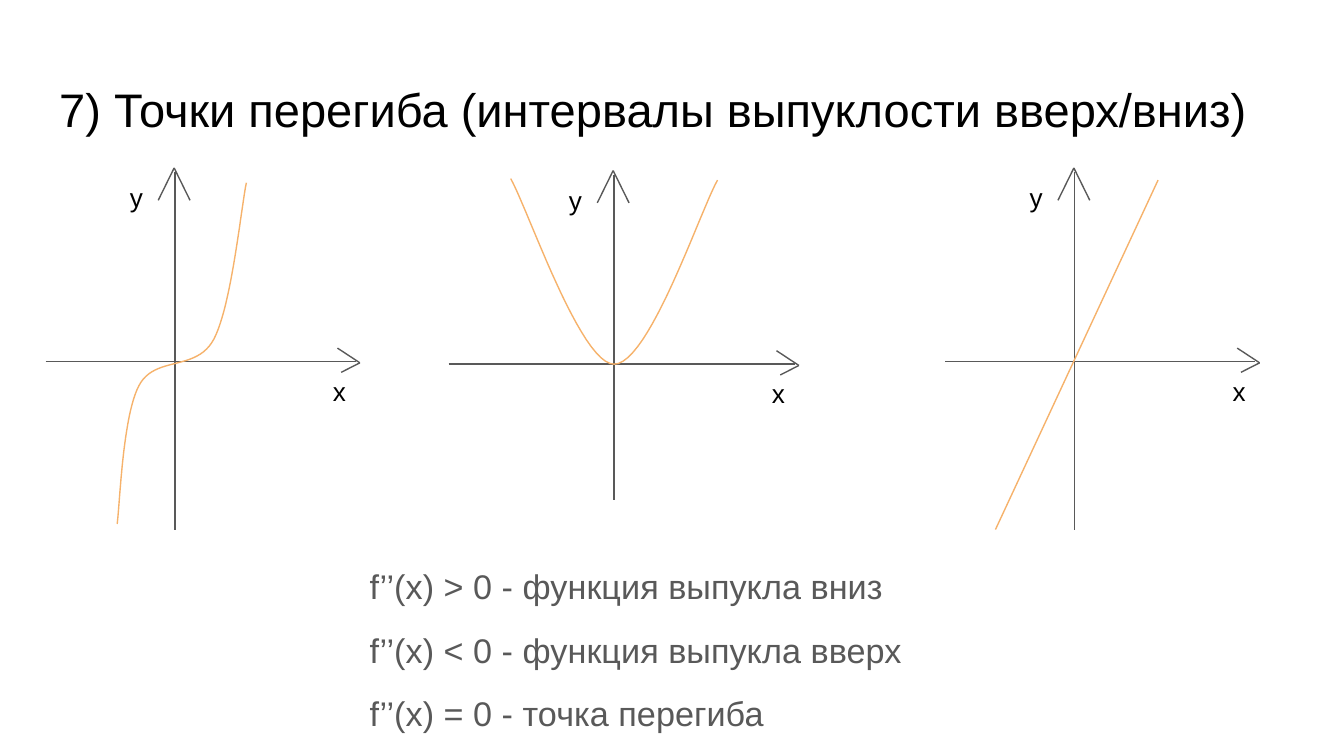
from lxml import etree
from pptx import Presentation
from pptx.dml.color import RGBColor
from pptx.enum.shapes import MSO_CONNECTOR
from pptx.enum.text import MSO_ANCHOR, MSO_AUTO_SIZE, PP_ALIGN
from pptx.oxml.ns import qn
from pptx.util import Pt

STRAIGHT = MSO_CONNECTOR.STRAIGHT
TOP, BOTTOM = MSO_ANCHOR.TOP, MSO_ANCHOR.BOTTOM
NO_FIT = MSO_AUTO_SIZE.NONE
LEFT = PP_ALIGN.LEFT

COLORS = {"text": "000000", "muted": "595959", "curve": "F6B26B"}
LINE_WIDTH = 0.75
CURVE_STEPS = 24

TITLE = "7) Точки перегиба (интервалы выпуклости вверх/вниз)"
RULES = [
    "f’’(x) > 0 - функция выпукла вниз",
    "f’’(x) < 0 - функция выпукла вверх",
    "f’’(x) = 0 - точка перегиба",
]

CUBIC = [
    (-31, 87), (-29.5, 75), (-28, 29.5), (-19.4, 13), (-10.8, -3.6),
    (11.5, 5.8), (20.9, -12.2), (30.2, -30.2), (35.3, -81.4), (38.2, -95.8),
]
PARABOLA = [
    (-55.4, -99.4), (-46.1, -82.8), (-18, 0), (0, 0),
    (18.7, 0), (46.1, -82.1), (55.4, -98.6),
]
SLOPE = [(-42.5, 90), (44.6, -97.2)]

ARROW_STROKES = [
    ((-0.5, -103.7), (-9, -86.4)),
    ((-0.5, -103.7), (8, -86.4)),
    ((87, -7.2), (99, 0.7)),
    ((99, 0.7), (89, 5.8)),
]
AXIS_LABELS = [("y", -31.3, -103.7, 17.3), ("x", 77.5, 0, 19.4)]


def rgb(name):
    return RGBColor.from_string(COLORS[name])


def set_values(target, values):
    for name, value in values.items():
        setattr(target, name, value)


def place(shape, left, top, width, height):
    set_values(shape, {"left": Pt(left), "top": Pt(top),
                       "width": Pt(width), "height": Pt(height)})


def write_text(box, lines, size, color, anchor=TOP, gap=0):
    frame = box.text_frame
    inset = Pt(7.2)
    set_values(frame, {
        "word_wrap": True, "auto_size": NO_FIT, "vertical_anchor": anchor,
        "margin_left": inset, "margin_right": inset,
        "margin_top": inset, "margin_bottom": inset,
    })
    for index, line in enumerate(lines):
        para = frame.add_paragraph() if index else frame.paragraphs[0]
        properties = para._p.get_or_add_pPr()
        properties.set("marL", "0")
        properties.set("indent", "0")
        etree.SubElement(properties, qn("a:buNone"))
        set_values(para, {"alignment": LEFT, "line_spacing": 1.0,
                          "space_before": Pt(gap if index else 0),
                          "space_after": Pt(0)})
        span = para.add_run()
        span.text = line
        set_values(span.font, {"name": "Arial", "size": Pt(size)})
        span.font.color.rgb = rgb(color)


def style_line(shape, color):
    shape.line.width = Pt(LINE_WIDTH)
    shape.line.color.rgb = rgb(color)


def add_line(page, origin, start, end, color="muted"):
    x, y = origin
    line = page.shapes.add_connector(
        STRAIGHT, Pt(x + start[0]), Pt(y + start[1]),
        Pt(x + end[0]), Pt(y + end[1]))
    style_line(line, color)
    etree.SubElement(line._element.spPr, qn("a:effectLst"))


def bezier_point(controls, t):
    weights = ((1 - t) ** 3, 3 * t * (1 - t) ** 2, 3 * t * t * (1 - t), t ** 3)
    return tuple(sum(weight * point[axis] for weight, point in zip(weights, controls))
                 for axis in (0, 1))


def add_curve(page, origin, controls):
    points = [controls[0]]
    for first in range(0, len(controls) - 1, 3):
        points += [bezier_point(controls[first:first + 4], step / CURVE_STEPS)
                   for step in range(1, CURVE_STEPS + 1)]
    vertices = [(Pt(origin[0] + x), Pt(origin[1] + y)) for x, y in points]
    builder = page.shapes.build_freeform(*vertices[0])
    builder.add_line_segments(vertices[1:], close=False)
    curve = builder.convert_to_shape()
    curve.fill.background()
    curve.shadow.inherit = False
    style_line(curve, "curve")


def add_axes(page, origin, left, bottom):
    add_line(page, origin, (0, -101.5), (0, bottom))
    add_line(page, origin, (left, 0), (96.8, 0))
    for start, end in ARROW_STROKES:
        add_line(page, origin, start, end)
    for name, x, y, width in AXIS_LABELS:
        box = page.shapes.add_textbox(Pt(origin[0] + x), Pt(origin[1] + y),
                                      Pt(width), Pt(31.7))
        write_text(box, [name], 14, "text")


def main():
    deck = Presentation()
    set_values(deck, {"slide_width": Pt(720), "slide_height": Pt(405)})
    page = deck.slides.add_slide(deck.slide_layouts[1])

    title = page.shapes.title
    place(title, 24.5, 35.3, 671, 45.4)
    write_text(title, [TITLE], 25.2, "text", anchor=BOTTOM)
    body = page.placeholders[1]
    place(body, 190.8, 295.9, 349.2, 92.9)
    write_text(body, RULES, 18.3, "muted", gap=12)

    cubic_origin, parabola_origin, slope_origin = (93.8, 193.7), (329, 195.1), (575.8, 193.7)
    add_axes(page, cubic_origin, left=-69.3, bottom=90)
    add_curve(page, cubic_origin, CUBIC)
    add_axes(page, parabola_origin, left=-88.6, bottom=72.7)
    add_curve(page, parabola_origin, PARABOLA)
    add_axes(page, slope_origin, left=-69.3, bottom=90)
    add_line(page, slope_origin, *SLOPE, color="curve")

    deck.save("out.pptx")


if __name__ == "__main__":
    main()
